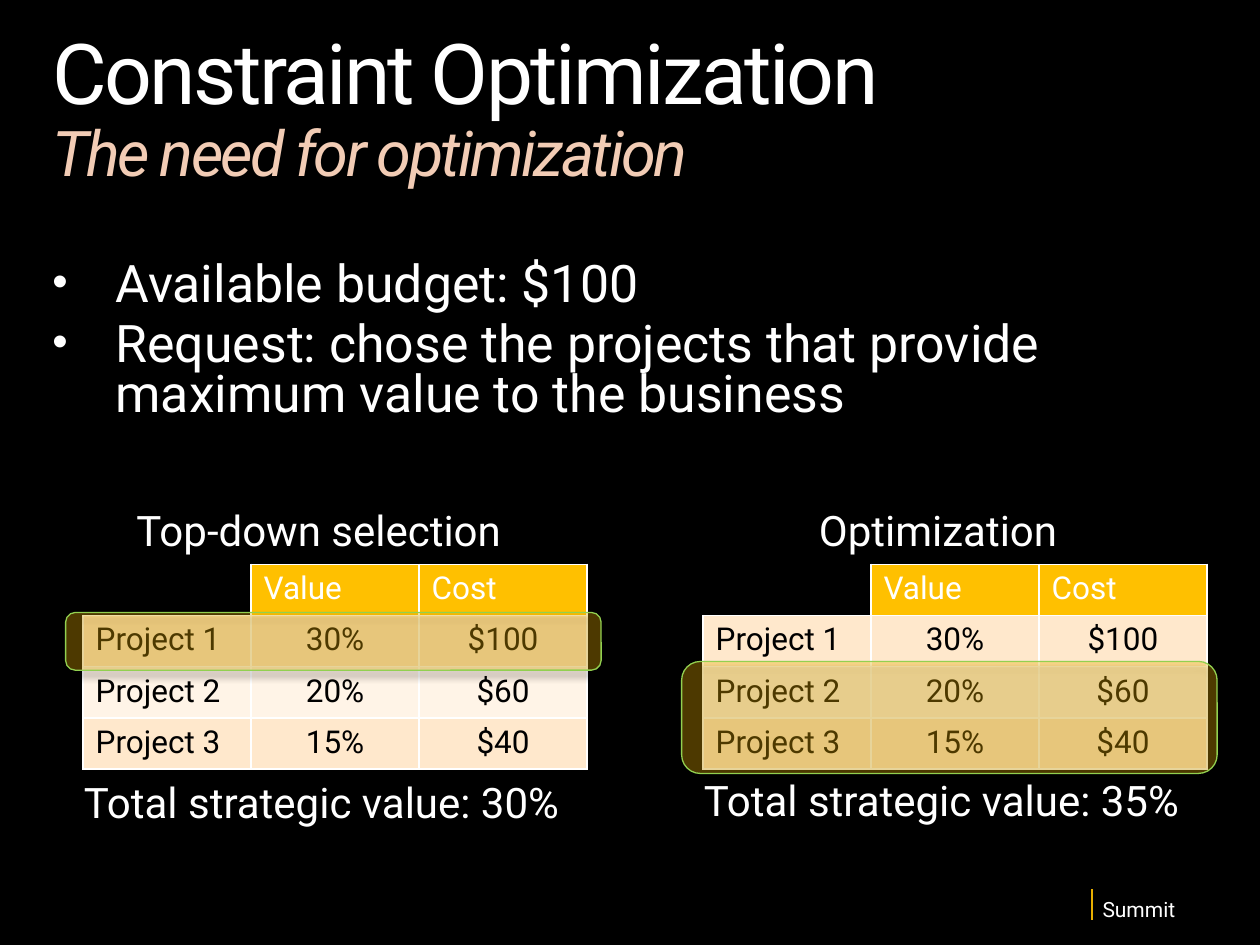
"""Build the Constraint Optimization slide comparing two project selections."""
from lxml.etree import SubElement
from pptx import Presentation
from pptx.dml.color import RGBColor
from pptx.enum.shapes import MSO_CONNECTOR as Connector, MSO_SHAPE as Shape
from pptx.enum.text import PP_ALIGN as Align
from pptx.oxml import parse_xml
from pptx.oxml.ns import nsdecls, qn
from pptx.util import Pt

BLACK = RGBColor(0x00, 0x00, 0x00)
WHITE = RGBColor(0xFF, 0xFF, 0xFF)
PEACH = RGBColor(0xF2, 0xCC, 0xB5)
GOLD = RGBColor(0xE7, 0xAE, 0x00)
AMBER = RGBColor(0xFF, 0xC0, 0x00)
GREEN = RGBColor(0x92, 0xD0, 0x50)
BAND_DARK = RGBColor(0xFF, 0xE8, 0xCC)
BAND_LIGHT = RGBColor(0xFF, 0xF4, 0xE7)
ROW_FILLS = [AMBER, BAND_DARK, BAND_LIGHT, BAND_DARK]
FONT = "Roboto"

ROWS = [
    ("", "Value", "Cost"),
    ("Project 1", "30%", "$100"),
    ("Project 2", "20%", "$60"),
    ("Project 3", "15%", "$40"),
]
COLUMN_WIDTH, ROW_HEIGHT, TABLE_TOP = 96, 29.25, 322.5
PANELS = [
    ("Top-down selection", 78, 47.5, (37.5, 350, 306, 33), "Total strategic value: 30%", 443.5),
    ("Optimization", 468, 401.75, (389.5, 378, 306, 64), "Total strategic value: 35%", 442.5),
]


def style_font(font, size, color):
    font.name = FONT
    font.size = Pt(size)
    font.color.rgb = color


def add_text(left, top, width, height, lines, size):
    frame = slide.shapes.add_textbox(Pt(left), Pt(top), Pt(width), Pt(height)).text_frame
    frame.word_wrap = True
    frame.margin_left = frame.margin_right = frame.margin_top = frame.margin_bottom = 0
    frame.text = "\n".join(lines)
    for paragraph in frame.paragraphs:
        style_font(paragraph.font, size, WHITE)
    return frame.paragraphs


presentation = Presentation()
presentation.slide_width, presentation.slide_height = Pt(720), Pt(540)
slide = presentation.slides.add_slide(presentation.slide_layouts[6])
slide.background.fill.solid()
slide.background.fill.fore_color.rgb = BLACK

footer = add_text(630, 514, 60, 13, ["Summit"], 12)[0]
footer.line_spacing = 0.9
divider = slide.shapes.add_connector(Connector.STRAIGHT, Pt(624), Pt(508), Pt(624), Pt(526))
divider.line.color.rgb = GOLD
divider.line.width = Pt(1.25)
SubElement(divider._element.spPr, qn("a:effectLst"))

title = add_text(30, 18, 660, 91.5, [""], 48)[0]
title.line_spacing = 0.9
heading = title.add_run()
heading.text = "Constraint Optimization"
title.add_line_break()
subtitle = title.add_run()
subtitle.text = "The need for optimization"
subtitle.font.italic = True
for run, size, color in [(heading, 48, WHITE), (subtitle, 36, PEACH)]:
    style_font(run.font, size, color)
    run._r.get_or_add_rPr().set("spc", "-150")

bullets = [
    "Available budget: $100",
    "Request: chose the projects that provide maximum value to the business",
]
for paragraph in add_text(30, 150, 660, 102, bullets, 29.6):
    paragraph.line_spacing = 0.8
    paragraph.space_before = Pt(6)
    properties = paragraph._p.get_or_add_pPr()
    properties.set("marL", str(Pt(36)))
    properties.set("indent", str(Pt(-36)))
    default_font = properties.find(qn("a:defRPr"))
    for tag, name, value in [("buSzPct", "val", "85000"), ("buFont", "typeface", "Arial"), ("buChar", "char", "•")]:
        bullet = SubElement(properties, qn(f"a:{tag}"))
        bullet.set(name, value)
        default_font.addprevious(bullet)

for caption, caption_left, left, highlight_box, total, total_top in PANELS:
    table = slide.shapes.add_table(
        len(ROWS), 3, Pt(left), Pt(TABLE_TOP), Pt(3 * COLUMN_WIDTH), Pt(len(ROWS) * ROW_HEIGHT)
    ).table
    table.first_row = table.horz_banding = False
    for column in table.columns:
        column.width = Pt(COLUMN_WIDTH)
    for row_index, values in enumerate(ROWS):
        table.rows[row_index].height = Pt(ROW_HEIGHT)
        for column_index, value in enumerate(values):
            cell = table.cell(row_index, column_index)
            is_corner = row_index == column_index == 0
            for side in "LRTB":
                hidden = is_corner and side in "LT"
                paint = "<a:noFill/>" if hidden else f'<a:solidFill><a:srgbClr val="{WHITE}"/></a:solidFill>'
                cell._tc.get_or_add_tcPr().append(
                    parse_xml(f'<a:ln{side} {nsdecls("a")} w="{Pt(1)}">{paint}</a:ln{side}>')
                )
            if is_corner:
                cell.fill.background()
                continue
            cell.fill.solid()
            cell.fill.fore_color.rgb = ROW_FILLS[row_index]
            cell.text = value
            paragraph = cell.text_frame.paragraphs[0]
            style_font(paragraph.font, 18, BLACK if row_index else WHITE)
            if row_index and column_index:
                paragraph.alignment = Align.CENTER

    highlight = slide.shapes.add_shape(Shape.ROUNDED_RECTANGLE, *map(Pt, highlight_box))
    highlight.fill.solid()
    highlight.fill.fore_color.rgb = AMBER
    highlight.line.color.rgb = GREEN
    highlight.line.width = Pt(0.75)
    highlight.shadow.inherit = False
    shape_properties = highlight._element.spPr
    fill_color = shape_properties.find(qn("a:solidFill")).find(qn("a:srgbClr"))
    SubElement(fill_color, qn("a:alpha")).set("val", "30000")
    shape_properties.find(qn("a:effectLst")).append(parse_xml(
        f'<a:outerShdw {nsdecls("a")} blurRad="{Pt(4)}" dist="{Pt(3)}" dir="5400000" rotWithShape="0">'
        f'<a:srgbClr val="{BLACK}"><a:alpha val="43000"/></a:srgbClr></a:outerShdw>'
    ))

    add_text(left + 0.5, total_top, 288, 29, [total], 24)
    add_text(caption_left, 288, 210, 29, [caption], 24)

presentation.save("out.pptx")
